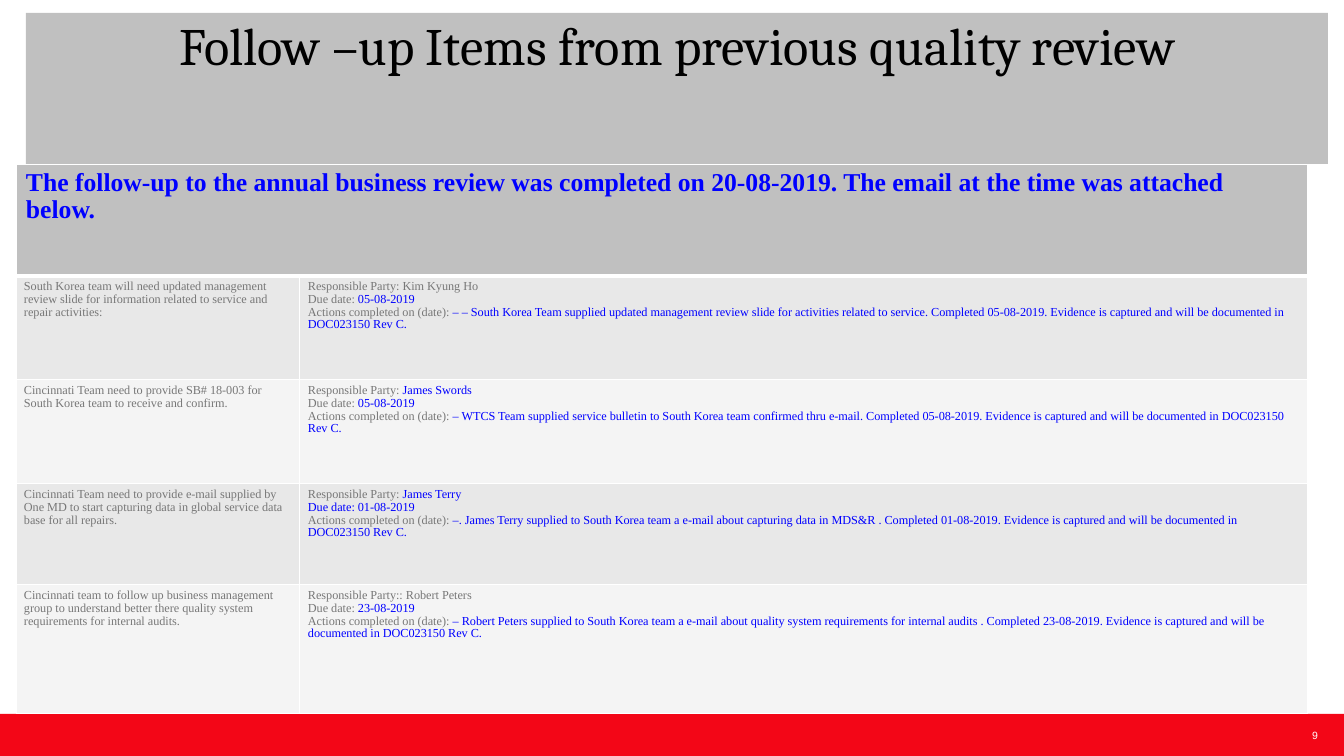
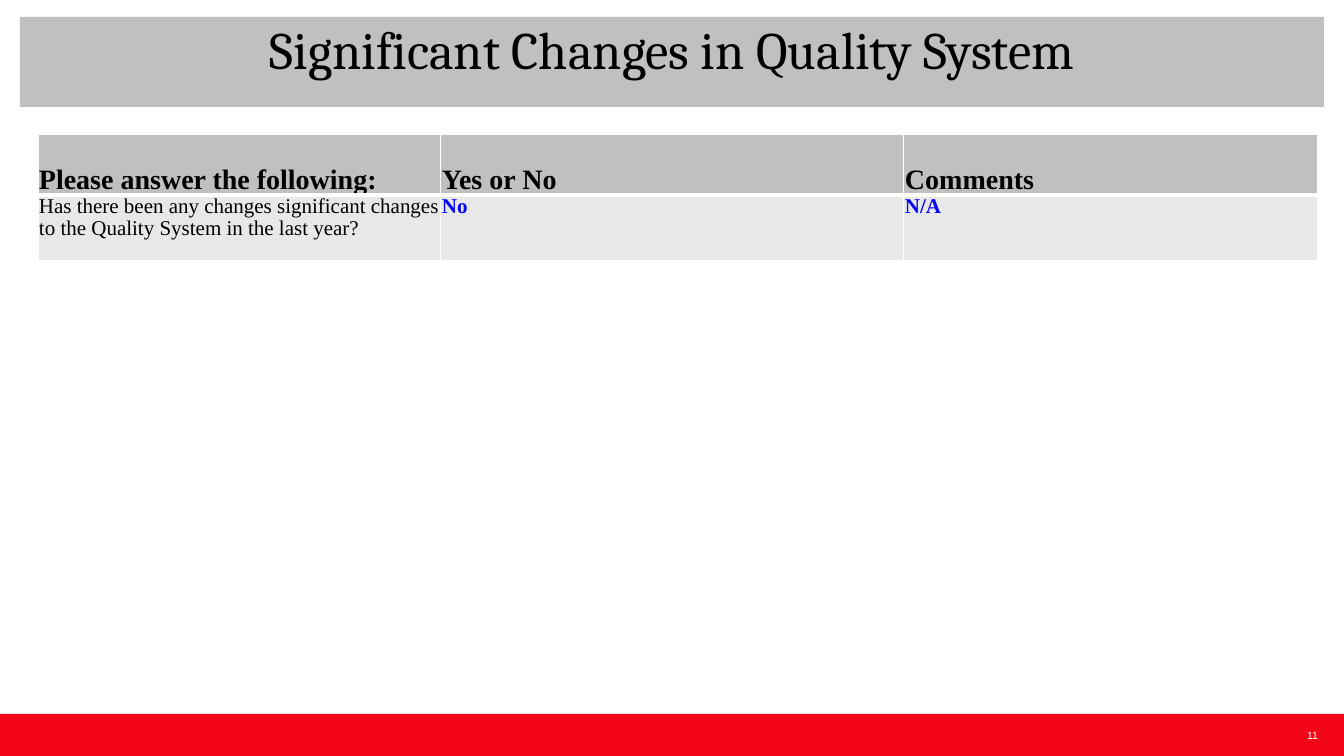
"""Build two quality review slides: follow-up items and quality system changes."""
import pptx
import pptx.dml.color
import pptx.enum.shapes
import pptx.enum.text
import pptx.oxml
import pptx.oxml.ns
import pptx.util

RGBColor = pptx.dml.color.RGBColor
RED = RGBColor(0xF3, 0x06, 0x17)
SILVER = RGBColor(0xC0, 0xC0, 0xC0)
GREY = RGBColor(0x77, 0x77, 0x77)
BLUE = RGBColor(0x00, 0x00, 0xFF)
BLACK = RGBColor(0x00, 0x00, 0x00)
WHITE = RGBColor(0xFF, 0xFF, 0xFF)
ROW_FILLS = [RGBColor(0xE8, 0xE8, 0xE8), RGBColor(0xF4, 0xF4, 0xF4)]
ALIGN = pptx.enum.text.PP_ALIGN
ANCHOR = pptx.enum.text.MSO_ANCHOR


def px(*values):
    return [pptx.util.Emu(round(v * 914400 / 84)) for v in values]


def add_text(s, box, text, font, size, color, align, anchor):
    sp = s.shapes.add_textbox(*px(*box))
    tf = sp.text_frame
    tf.word_wrap = True
    tf.vertical_anchor = anchor
    tf.margin_left = tf.margin_top = tf.margin_right = tf.margin_bottom = 0
    p = tf.paragraphs[0]
    p.text = text
    p.alignment = align
    p.font.name, p.font.size = font, pptx.util.Pt(size)
    p.font.color.rgb = color
    return sp


ACTIONS = "Actions completed on (date): "
# Each paragraph is a pair: plain text, then blue text.
follow_up = [
    [[("", "The follow-up to the annual business review was completed on 20-08-2019. "
           "The email at the time was attached below.")]],
    [[("South Korea team will need updated management review slide for information "
       "related to service and repair activities:", "")],
     [("Responsible Party: Kim Kyung Ho", ""),
      ("Due date: ", "05-08-2019"),
      (ACTIONS, "– – South Korea Team supplied updated management review slide for activities "
                "related to service. Completed 05-08-2019. Evidence is captured and will be "
                "documented in DOC023150 Rev C.")]],
    [[("Cincinnati Team need to provide SB# 18-003 for South Korea team to receive "
       "and confirm.", "")],
     [("Responsible Party: ", "James Swords"),
      ("Due date: ", "05-08-2019"),
      (ACTIONS, "– WTCS Team supplied service bulletin to South Korea team confirmed thru "
                "e-mail. Completed 05-08-2019. Evidence is captured and will be documented "
                "in DOC023150 Rev C.")]],
    [[("Cincinnati Team need to provide e-mail supplied by One MD to start capturing data "
       "in global service data base for all repairs.", "")],
     [("Responsible Party: ", "James Terry"),
      ("", "Due date: 01-08-2019"),
      (ACTIONS, "–. James Terry supplied to South Korea team a e-mail about capturing data in "
                "MDS&R . Completed 01-08-2019. Evidence is captured and will be documented "
                "in DOC023150 Rev C.")]],
    [[("Cincinnati team to follow up business management group to understand better there "
       "quality system requirements for internal audits.", "")],
     [("Responsible Party:: Robert Peters", ""),
      ("Due date: ", "23-08-2019"),
      (ACTIONS, "– Robert Peters supplied to South Korea team a e-mail about quality system "
                "requirements for internal audits . Completed 23-08-2019. Evidence is captured "
                "and will be documented in DOC023150 Rev C.")]],
]
changes = [
    [[("Please answer the following:", "")], [("Yes or No", "")], [("Comments", "")]],
    [[("Has there been any changes significant changes to the Quality System "
       "in the last year?", "")],
     [("", "No")], [("", "N/A")]],
]

slides = [
    dict(number="9", title="Follow –up Items from previous quality review",
         title_box=(26, 13, 1302, 151), table_at=(16, 165), cols=[284, 1008],
         heights=[111, 104, 104, 101, 129], rows=follow_up, sizes=(22, 10.5),
         insets=[(10, 5, 10, 5), (8, 4, 8, 4)], plain=GREY, bold_blue=False,
         head_anchor=ANCHOR.TOP),
    dict(number="11", title="Significant Changes in Quality System",
         title_box=(20, 17, 1304, 90), table_at=(38, 134), cols=[403, 463, 414],
         heights=[61, 66], rows=changes, sizes=(24, 18),
         insets=[(1, 1, 1, 0)] * 2, plain=BLACK, bold_blue=True,
         head_anchor=ANCHOR.BOTTOM),
]

prs = pptx.Presentation()
prs.slide_width, prs.slide_height = px(1344, 756)

for d in slides:
    s = prs.slides.add_slide(prs.slide_layouts[6])
    band = s.shapes.add_shape(pptx.enum.shapes.MSO_SHAPE.RECTANGLE, *px(0, 714, 1344, 42))
    band.shadow.inherit = False
    band.fill.solid()
    band.fill.fore_color.rgb = RED
    band.line.fill.background()
    add_text(s, (1281, 714, 37, 42), d["number"], "Arial", 9, WHITE, ALIGN.RIGHT, ANCHOR.MIDDLE)
    title = add_text(s, d["title_box"], d["title"], "Cambria", 45, BLACK, ALIGN.CENTER, ANCHOR.TOP)
    title.fill.solid()
    title.fill.fore_color.rgb = SILVER

    size = sum(d["cols"]), sum(d["heights"])
    table = s.shapes.add_table(len(d["heights"]), len(d["cols"]),
                               *px(*d["table_at"], *size)).table
    for col, width in zip(table.columns, px(*d["cols"])):
        col.width = width
    for row, height in zip(table.rows, px(*d["heights"])):
        row.height = height
    if len(d["rows"][0]) == 1:
        table.cell(0, 0).merge(table.cell(0, len(d["cols"]) - 1))

    for i, row in enumerate(table.rows):
        head = i == 0
        for j, cell in enumerate(row.cells):
            tcPr = cell._tc.get_or_add_tcPr()
            for side in "LRTB":
                width = pptx.util.Pt(3 if head and side == "B" else 1)
                tcPr.append(pptx.oxml.parse_xml(
                    f'<a:ln{side} {pptx.oxml.ns.nsdecls("a")} w="{width}"><a:solidFill>'
                    f'<a:srgbClr val="{WHITE}"/></a:solidFill></a:ln{side}>'))
            cell.fill.solid()
            cell.fill.fore_color.rgb = SILVER if head else ROW_FILLS[(i - 1) % 2]
            if cell.is_spanned:
                continue
            inset = px(*d["insets"][0 if head else 1])
            cell.margin_left, cell.margin_top, cell.margin_right, cell.margin_bottom = inset
            cell.vertical_anchor = d["head_anchor"] if head else ANCHOR.TOP
            tf = cell.text_frame
            for k, (plain, blue) in enumerate(d["rows"][i][j]):
                p = tf.add_paragraph() if k else tf.paragraphs[0]
                p.line_spacing = 0.95
                p.font.name = "Times New Roman"
                p.font.size = pptx.util.Pt(d["sizes"][0 if head else 1])
                p.font.bold = head or (d["bold_blue"] and bool(blue))
                for text, color in ((plain, d["plain"]), (blue, BLUE)):
                    if text:
                        r = p.add_run()
                        r.text = text
                        font = r.font if plain and blue else p.font
                        font.color.rgb = color

prs.save("out.pptx")
